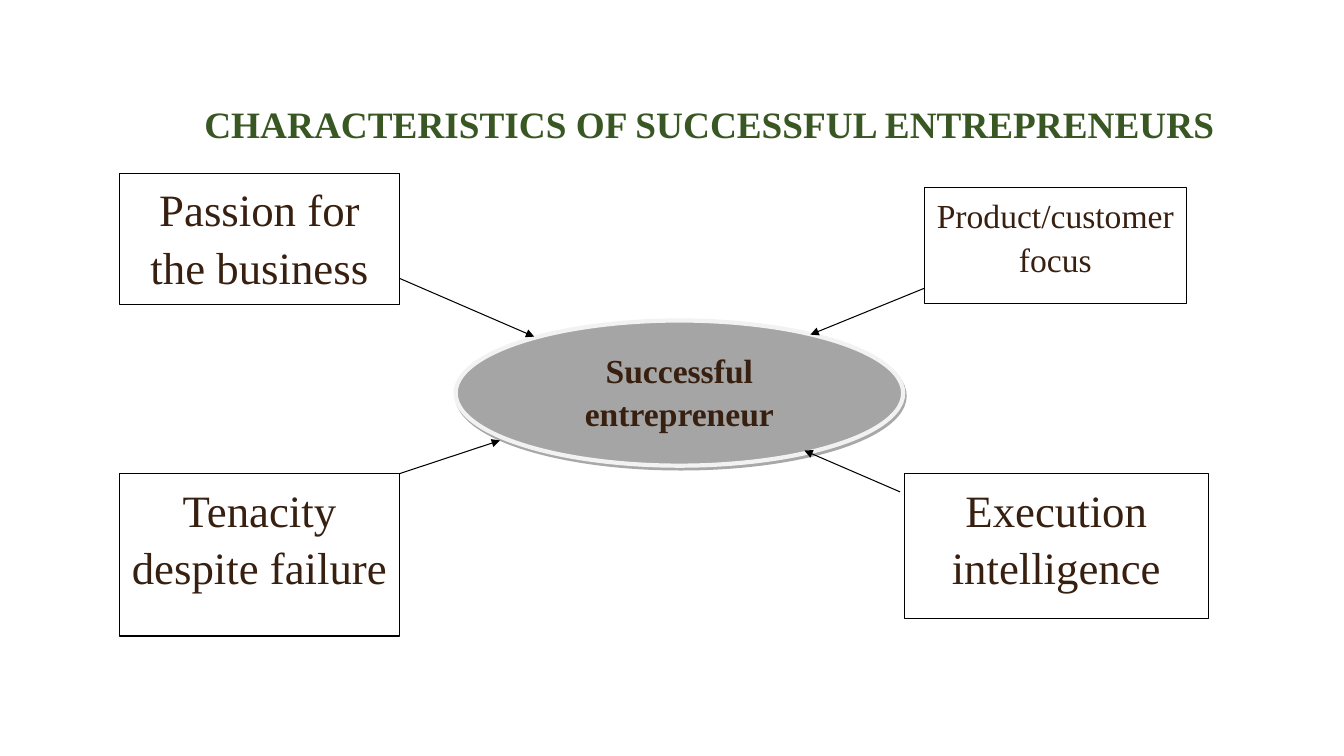
from dataclasses import dataclass

from lxml.etree import SubElement
from pptx import Presentation
from pptx.dml.color import RGBColor
from pptx.enum.shapes import MSO_CONNECTOR as Connector, MSO_SHAPE as Shape
from pptx.enum.text import MSO_ANCHOR as Anchor, PP_ALIGN as Align
from pptx.oxml.ns import qn
from pptx.util import Inches, Pt


@dataclass(frozen=True)
class Theme:
    font: str = "Times New Roman"
    title_color: str = "385723"
    text_color: str = "382010"
    box_fill: str = "FFFFFF"
    hub_fill: str = "A5A5A5"
    hub_line: str = "F2F2F2"
    shadow: str = "525252"
    ink: str = "000000"
    title_size: float = 26.6
    large: float = 32
    small: float = 24
    thin: float = 0.75
    thick: float = 3


THEME = Theme()
WIDTH, HEIGHT = Inches(13.33), Inches(7.5)
COLUMN, ROW = WIDTH / 40, HEIGHT / 22.5

TRAITS = [
    ("Passion for the business", (3.57, 5.16, 8.31, 3.9), THEME.large),
    ("Product/customer focus", (27.51, 5.58, 7.8, 3.45), THEME.small),
    ("Tenacity despite failure", (3.57, 14.1, 8.31, 4.83), THEME.large),
    ("Execution intelligence", (26.91, 14.1, 9.06, 4.32), THEME.large),
]
ARROWS = [
    (11.88, 8.28, 15.9, 10.02),
    (27.51, 8.58, 24.12, 9.96),
    (11.88, 14.1, 14.88, 13.11),
    (26.79, 14.64, 23.94, 13.41),
]


def on_grid(cells):
    return [round(cell * unit) for cell, unit in zip(cells, (COLUMN, ROW) * 2)]


def set_line(line, color, width):
    line.color.rgb = RGBColor.from_string(color)
    line.width = Pt(width)


def write(box, text, size, color=THEME.text_color, bold=False, spacing=1.07, after=8):
    frame = box.text_frame
    frame.word_wrap = True
    frame.vertical_anchor = Anchor.TOP
    para = frame.paragraphs[0]
    para.alignment = Align.CENTER
    para.line_spacing = spacing
    para.space_after = Pt(after)
    span = para.add_run()
    span.text = text
    span.font.name = THEME.font
    span.font.size = Pt(size)
    span.font.bold = bold
    span.font.color.rgb = RGBColor.from_string(color)


def add_box(page, kind, cells, fill, line, width):
    box = page.shapes.add_shape(kind, *on_grid(cells))
    box.shadow.inherit = False
    box.fill.solid()
    box.fill.fore_color.rgb = RGBColor.from_string(fill)
    set_line(box.line, line, width)
    return box


def cast_shadow(box):
    effects = box.element.spPr.find(qn("a:effectLst"))
    shadow = SubElement(effects, qn("a:outerShdw"), dist=str(Pt(2.2)),
                        dir=str(63 * 60000), algn="ctr", rotWithShape="0")
    color = SubElement(shadow, qn("a:srgbClr"), val=THEME.shadow)
    SubElement(color, qn("a:alpha"), val="50000")


def add_arrow(page, cells):
    arrow = page.shapes.add_connector(Connector.STRAIGHT, *on_grid(cells))
    set_line(arrow.line, THEME.ink, THEME.thin)
    properties = arrow.element.spPr
    SubElement(properties.find(qn("a:ln")), qn("a:tailEnd"), type="triangle")
    SubElement(properties, qn("a:effectLst"))


def main():
    deck = Presentation()
    deck.slide_width, deck.slide_height = WIDTH, HEIGHT
    page = deck.slides.add_slide(deck.slide_layouts[6])

    title = page.shapes.add_textbox(*on_grid((5.13, 3.24, 32, 2.25)))
    write(title, "CHARACTERISTICS OF SUCCESSFUL ENTREPRENEURS", THEME.title_size,
          color=THEME.title_color, bold=True, spacing=0.7, after=0)

    hub = add_box(page, Shape.OVAL, (13.56, 9.54, 13.32, 4.32),
                  THEME.hub_fill, THEME.hub_line, THEME.thick)
    cast_shadow(hub)
    write(hub, "Successful entrepreneur", THEME.small, bold=True)

    for text, cells, size in TRAITS:
        box = add_box(page, Shape.RECTANGLE, cells, THEME.box_fill, THEME.ink, THEME.thin)
        write(box, text, size)
    for cells in ARROWS:
        add_arrow(page, cells)

    deck.save("out.pptx")


if __name__ == "__main__":
    main()
